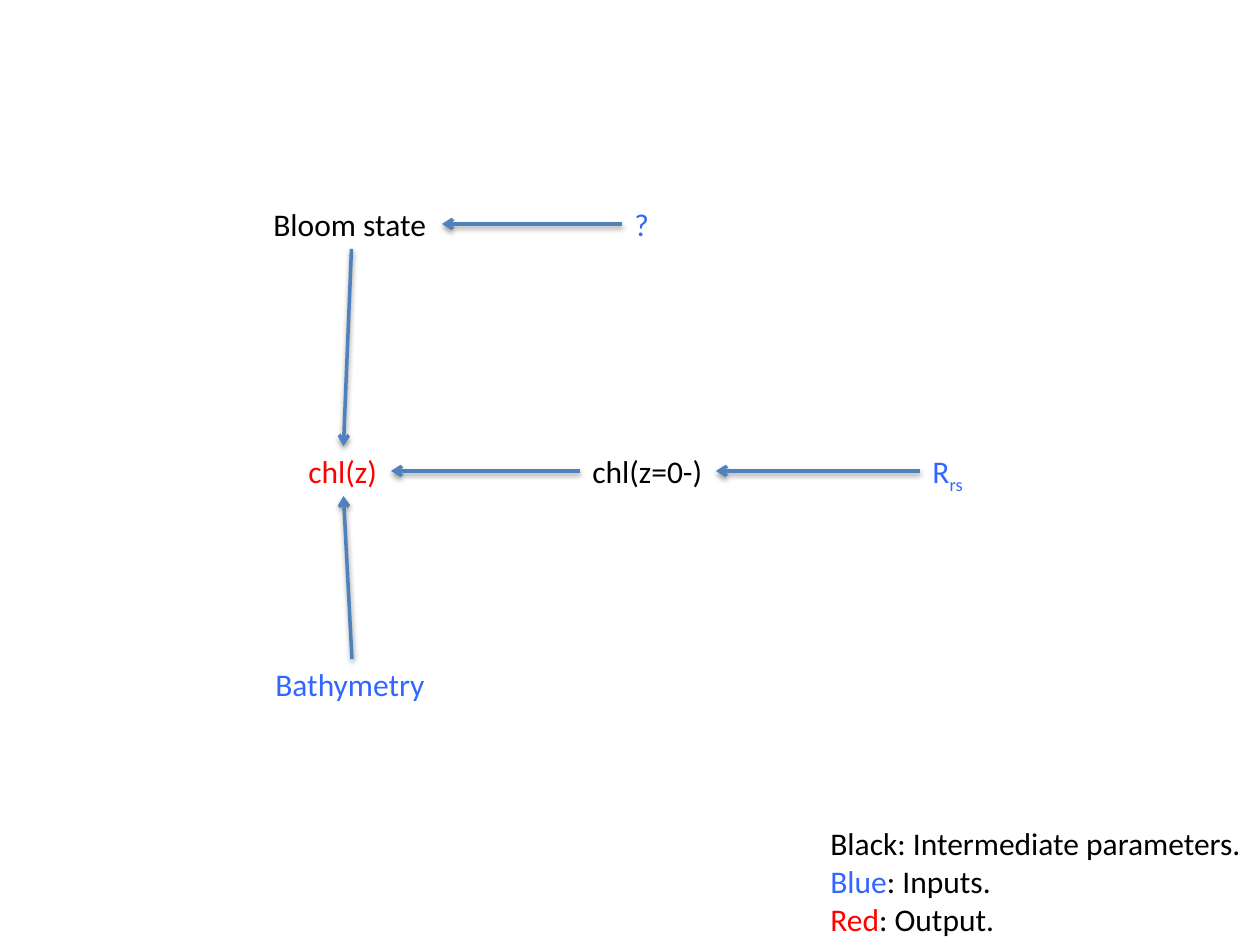
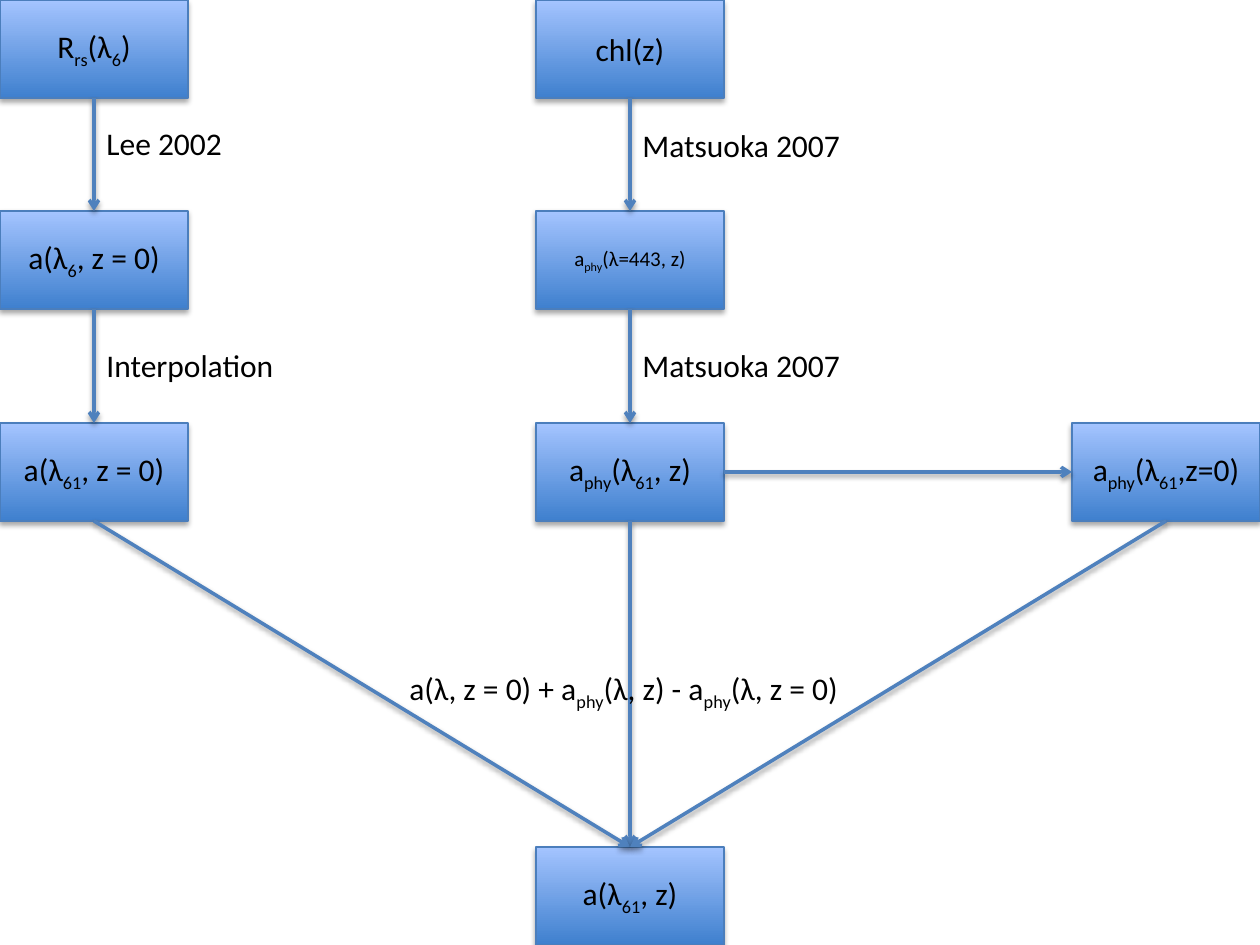
from lxml.etree import SubElement
from pptx import Presentation
from pptx.dml.color import RGBColor
from pptx.enum.shapes import MSO_CONNECTOR, MSO_SHAPE
from pptx.enum.text import MSO_ANCHOR, MSO_AUTO_SIZE, PP_ALIGN
from pptx.oxml.ns import qn
from pptx.util import Emu, Pt

WIDTH, HEIGHT = 1260, 945
BLACK, BLUE, RED = "000000", "3366FF", "FF0000"
ARROW, EDGE = "4F81BD", "4B7EBC"
GRADIENT = ("3F80CE", "A4C4FF")
TOP, LEFT, BOTTOM, RIGHT = range(4)
NODE_W, NODE_H = 188, 98
LABEL_H = 50


def px(length):
    return Emu(round(length * 914400 / 126))


def rgb(color):
    return RGBColor.from_string(color)


def add_shadow(effects, opacity, distance):
    shadow = SubElement(effects, qn("a:outerShdw"), blurRad=str(Pt(3.1)),
                        dist=str(Pt(distance)), dir="5400000", rotWithShape="0")
    tint = SubElement(shadow, qn("a:srgbClr"), val=BLACK)
    SubElement(tint, qn("a:alpha"), val=str(opacity * 1000))


def write(paragraph, text, size=18, color=BLACK, align=PP_ALIGN.LEFT):
    """Append text; every second part between bars is a subscript."""
    paragraph.alignment = align
    for index, part in enumerate(text.split("|")):
        run = paragraph.add_run()
        run.text = part
        run.font.name = "Calibri"
        run.font.size = Pt(size)
        run.font.color.rgb = rgb(color)
        if index % 2:
            run._r.get_or_add_rPr().set("baseline", "-25000")


def add_label(slide, box, *lines):
    """Add a text box; each line is a list of (text, colour) pieces."""
    label = slide.shapes.add_textbox(*map(px, box))
    frame = label.text_frame
    frame.word_wrap = False
    frame.auto_size = MSO_AUTO_SIZE.SHAPE_TO_FIT_TEXT
    for index, pieces in enumerate(lines):
        paragraph = frame.add_paragraph() if index else frame.paragraphs[0]
        for text, color in pieces:
            write(paragraph, text, color=color)
    return label


def add_arrow(slide, start, start_side, end, end_side):
    arrow = slide.shapes.add_connector(MSO_CONNECTOR.STRAIGHT, 0, 0, 0, 0)
    arrow.begin_connect(start, start_side)
    arrow.end_connect(end, end_side)
    arrow.line.color.rgb = rgb(ARROW)
    arrow.line.width = Pt(2)
    SubElement(arrow.line._get_or_add_ln(), qn("a:tailEnd"), type="arrow")
    effects = SubElement(arrow._element.spPr, qn("a:effectLst"))
    add_shadow(effects, opacity=38, distance=1.6)


def add_node(slide, column, row, text, size=18):
    """Add a box on a grid of three columns and five rows."""
    left = column * (WIDTH - NODE_W) // 2
    top = row * (HEIGHT - NODE_H) // 4
    node = slide.shapes.add_shape(
        MSO_SHAPE.RECTANGLE, *map(px, (left, top, NODE_W, NODE_H)))
    node.fill.gradient()
    node.fill.gradient_angle = 90
    for stop, color in zip(node.fill.gradient_stops, GRADIENT):
        stop.color.rgb = rgb(color)
    node.line.color.rgb = rgb(EDGE)
    node.line.width = Pt(0.75)
    node.shadow.inherit = False
    add_shadow(node._element.spPr.find(qn("a:effectLst")), opacity=35, distance=1.8)
    frame = node.text_frame
    frame.word_wrap = True
    frame.vertical_anchor = MSO_ANCHOR.MIDDLE
    write(frame.paragraphs[0], text, size=size, align=PP_ALIGN.CENTER)
    return node


def add_legend(slide, box):
    add_label(slide, box,
              [("Black: Intermediate parameters.", BLACK)],
              [("Blue", BLUE), (": Inputs.", BLACK)],
              [("Red", RED), (": Output.", BLACK)])


def add_dependencies(slide, left, top):
    def term(x, y, width, text, color):
        return add_label(slide, (left + x, top + y, width, LABEL_H), [(text, color)])

    profile = term(35, 247, 95, "chl(z)", RED)
    reflectance = term(659, 247, 59, "R|rs", BLUE)
    surface = term(319, 247, 136, "chl(z=0-)", BLACK)
    bathymetry = term(2, 460, 178, "Bathymetry", BLUE)
    bloom = term(0, 0, 181, "Bloom state", BLACK)
    unknown = term(361, 0, 40, "?", BLUE)

    add_arrow(slide, unknown, LEFT, bloom, RIGHT)
    add_arrow(slide, reflectance, LEFT, surface, RIGHT)
    add_arrow(slide, bloom, BOTTOM, profile, TOP)
    add_arrow(slide, bathymetry, TOP, profile, BOTTOM)
    add_arrow(slide, surface, LEFT, profile, RIGHT)


def add_chain(slide, column, nodes, methods):
    """Stack nodes down a column, joined by arrows; return the last node."""
    chain = [add_node(slide, column, row, *node) for row, node in enumerate(nodes)]
    for upper, lower in zip(chain, chain[1:]):
        add_arrow(slide, upper, BOTTOM, lower, TOP)
    center = (column * (WIDTH - NODE_W) + NODE_W) // 2
    for y, width, method in methods:
        add_label(slide, (center, y, width, LABEL_H), [(method, BLACK)])
    return chain[-1]


def add_absorption(slide):
    total = add_chain(
        slide, 0,
        [("R|rs|(λ|6|)",), ("a(λ|6|, z = 0)",), ("a(λ|61|, z = 0)",)],
        [(118, 142, "Lee 2002"), (340, 195, "Interpolation")])
    phyto = add_chain(
        slide, 1,
        [("chl(z)",), ("a|phy|(λ=443, z)", 12), ("a|phy|(λ|61|, z)",)],
        [(120, 226, "Matsuoka 2007"), (340, 226, "Matsuoka 2007")])
    phyto_surface = add_node(slide, 2, 2, "a|phy|(λ|61|,z=0)")
    result = add_node(slide, 1, 4, "a(λ|61|, z)")

    add_arrow(slide, phyto, RIGHT, phyto_surface, LEFT)
    for source in (phyto, total, phyto_surface):
        add_arrow(slide, source, BOTTOM, result, TOP)
    add_label(slide, (397, 663, 467, LABEL_H),
              [("a(λ, z = 0) + a|phy|(λ, z) - a|phy|(λ, z = 0)", BLACK)])


def main():
    deck = Presentation()
    deck.slide_width, deck.slide_height = px(WIDTH), px(HEIGHT)
    blank = deck.slide_layouts[6]

    inputs = deck.slides.add_slide(blank)
    add_legend(inputs, (818, 818, 444, 127))
    add_dependencies(inputs, 261, 199)

    add_absorption(deck.slides.add_slide(blank))
    deck.save("out.pptx")


if __name__ == "__main__":
    main()
